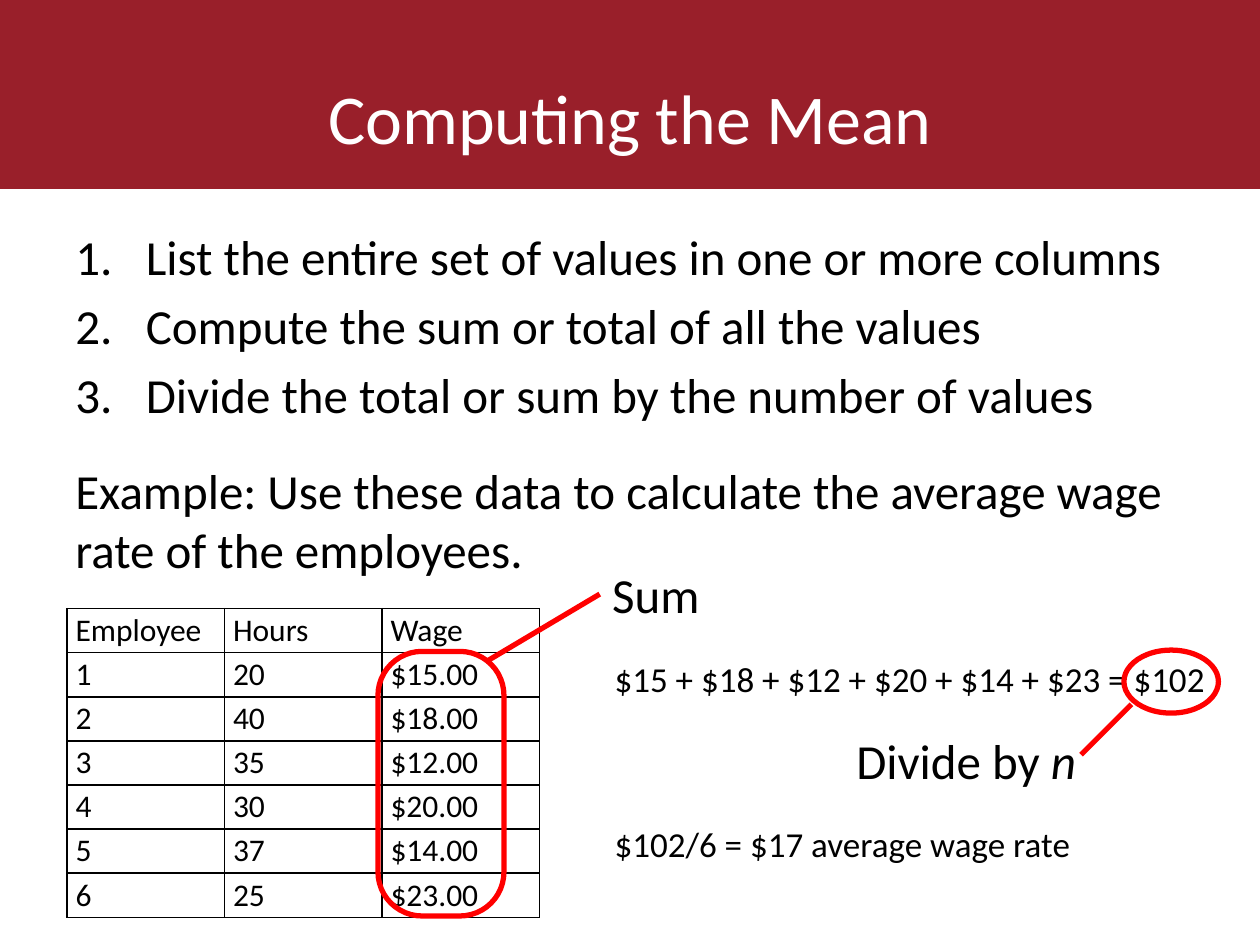
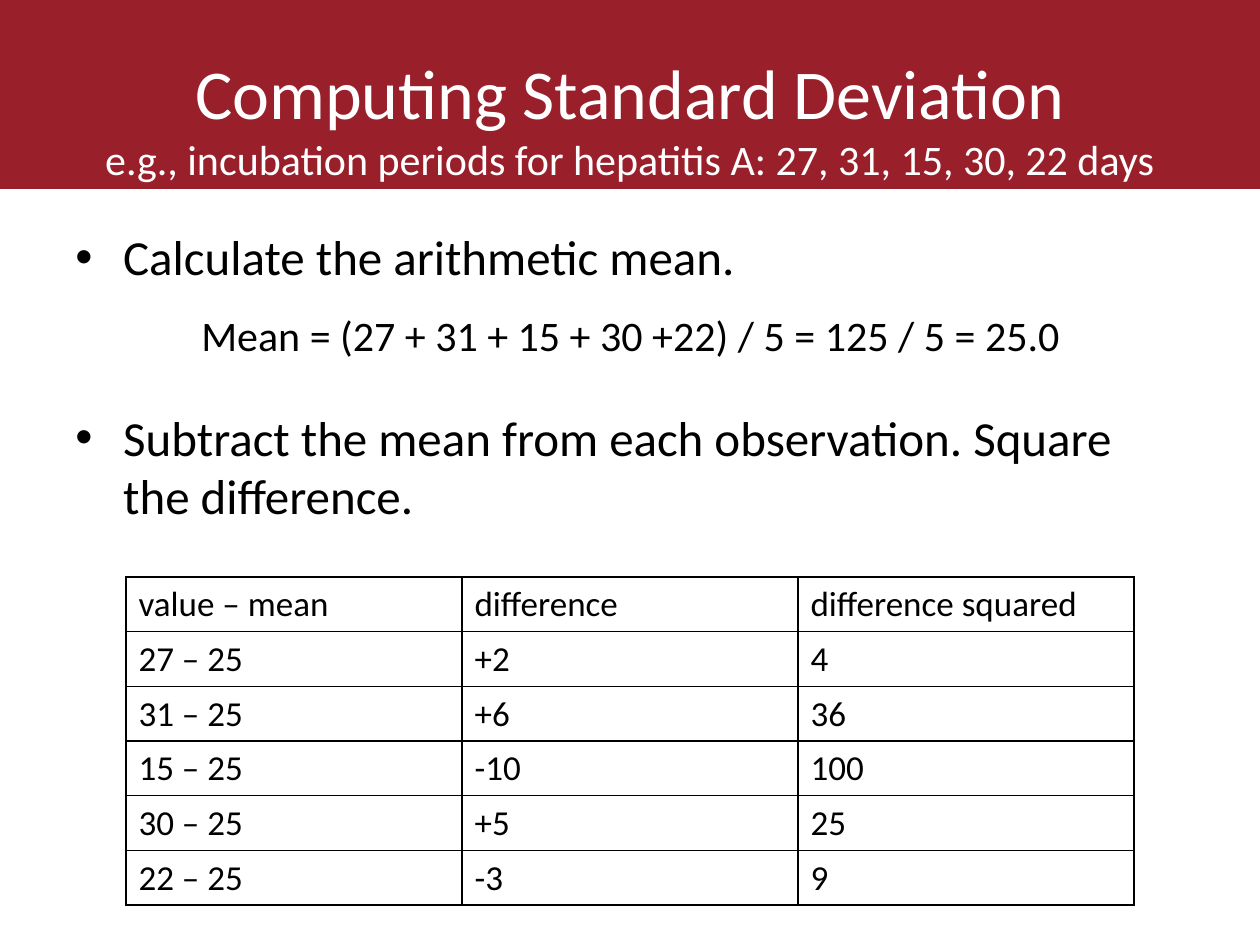
from lxml.etree import SubElement
from pptx import Presentation
from pptx.dml.color import RGBColor
from pptx.enum.shapes import MSO_CONNECTOR, MSO_SHAPE
from pptx.enum.text import MSO_ANCHOR, PP_ALIGN
from pptx.oxml.ns import qn
from pptx.util import Inches, Pt

COLORS = {
    "band": "991F2A",
    "title": "FFFFFF",
    "text": "000000",
    "callout": "FF0000",
}
FONT = "Calibri"


def add_text(frame, paragraphs, color="text", anchor=MSO_ANCHOR.TOP):
    """Fill a frame; each paragraph is (runs, options), each run (text, size, italic)."""
    frame.vertical_anchor = anchor
    for index, (runs, options) in enumerate(paragraphs):
        paragraph = frame.paragraphs[0] if index == 0 else frame.add_paragraph()
        paragraph.alignment = options.get("align", PP_ALIGN.LEFT)
        paragraph.space_before = Pt(options.get("before", 0))
        properties = paragraph._p.get_or_add_pPr()
        indent = Inches(options.get("indent", 0))
        properties.set("marL", str(indent))
        if "bullet" in options:
            properties.set("indent", str(-indent))
            SubElement(properties, qn("a:buFont"), typeface="Arial")
            tag, attribute, value = options["bullet"]
            SubElement(properties, qn(tag), {attribute: value})
        for position, (text, size, italic) in enumerate(runs):
            if position and options.get("break_runs"):
                paragraph.add_line_break()
            run = paragraph.add_run()
            run.text = text
            run.font.name = FONT
            run.font.size = Pt(size)
            run.font.italic = italic
            run.font.color.rgb = RGBColor.from_string(COLORS[color])


def add_grid(slide, left, top, column_width, row_height, rows, size, margins, anchor):
    """Add an unfilled table with thin lines around every cell."""
    columns = len(rows[0])
    table = slide.shapes.add_table(
        len(rows), columns, Inches(left), Inches(top),
        Inches(column_width * columns), Inches(row_height * len(rows))).table
    table.first_row = table.horz_banding = False
    for column in table.columns:
        column.width = Inches(column_width)
    for row, values in zip(table.rows, rows):
        row.height = Inches(row_height)
        for cell, value in zip(row.cells, values):
            cell.margin_left = cell.margin_right = Inches(margins[0])
            cell.margin_top = cell.margin_bottom = Inches(margins[1])
            add_text(cell.text_frame, [([(value, size, False)], {})])
            cell.vertical_anchor = anchor
            properties = cell._tc.get_or_add_tcPr()
            for side in ("a:lnL", "a:lnR", "a:lnT", "a:lnB"):
                border = SubElement(properties, qn(side), w=str(Pt(1)))
                fill = SubElement(border, qn("a:solidFill"))
                SubElement(fill, qn("a:srgbClr"), val=COLORS["text"])
            cell.fill.background()


presentation = Presentation()
presentation.slide_width = Inches(10)
presentation.slide_height = Inches(7.5)

NUMBERED = {"indent": 0.56, "before": 5.6, "bullet": ("a:buAutoNum", "type", "arabicPeriod")}
BULLETED = {"indent": 0.38, "before": 5.6, "bullet": ("a:buChar", "char", "•")}

lessons = [
    (
        [("Computing the Mean", 40, False)],
        [
            ([("List the entire set of values in one or more columns", 28, False)], NUMBERED),
            ([("Compute the sum or total of all the values", 28, False)], NUMBERED),
            ([("Divide the total or sum by the number of values", 28, False)], NUMBERED),
            ([("Example: Use these data to calculate the average wage rate of the employees.",
               28, False)], {"before": 21.5}),
        ],
        5.75,
    ),
    (
        [("Computing Standard Deviation", 40, False),
         ("e.g., incubation periods for hepatitis A: 27, 31, 15, 30, 22 days", 24, False)],
        [
            ([("Calculate the arithmetic mean.", 28, False)], BULLETED),
            ([("Mean = (27 + 31 + 15 + 30 +22) / 5 = 125 / 5 = 25.0", 24, False)],
             {"indent": 1, "before": 13.6}),
            ([("Subtract the mean from each observation. Square the difference.", 28, False)],
             {**BULLETED, "before": 27}),
        ],
        4.95,
    ),
]

# Title band and body text of both slides
slides = []
for title_runs, steps, body_height in lessons:
    slide = presentation.slides.add_slide(presentation.slide_layouts[6])
    slides.append(slide)
    band = slide.shapes.add_shape(MSO_SHAPE.RECTANGLE, 0, 0, Inches(10), Inches(1.5))
    band.shadow.inherit = False
    band.fill.solid()
    band.fill.fore_color.rgb = RGBColor.from_string(COLORS["band"])
    band.line.fill.background()
    title = slide.shapes.add_textbox(Inches(0.5), Inches(0.3), Inches(9), Inches(1.25))
    title.text_frame.word_wrap = True
    add_text(title.text_frame,
             [(title_runs, {"align": PP_ALIGN.CENTER, "break_runs": True})],
             "title", MSO_ANCHOR.MIDDLE)
    body = slide.shapes.add_textbox(Inches(0.5), Inches(1.75), Inches(9), Inches(body_height))
    body.text_frame.word_wrap = True
    add_text(body.text_frame, steps)

mean_slide, deviation_slide = slides

# Mean: wage table and worked calculation
wages = [
    ("Employee", "Hours", "Wage"),
    ("1", "20", "$15.00"),
    ("2", "40", "$18.00"),
    ("3", "35", "$12.00"),
    ("4", "30", "$20.00"),
    ("5", "37", "$14.00"),
    ("6", "25", "$23.00"),
]
add_grid(mean_slide, 0.53, 4.83, 1.25, 0.35, wages, 18, (0.07, 0), MSO_ANCHOR.MIDDLE)

calculation = mean_slide.shapes.add_textbox(
    Inches(4.78), Inches(5.17), Inches(4.97), Inches(1.78))
calculation.text_frame.word_wrap = True
add_text(calculation.text_frame, [
    ([("$15 + $18 + $12 + $20 + $14 + $23 = $102", 20, False)], {}),
    ([("$102/6 = $17 average wage rate", 20, False)], {"before": 70}),
])

# Mean: red outlines, each with a leader line and a label
callouts = [
    (MSO_SHAPE.ROUNDED_RECTANGLE, (3, 5.17, 1, 2.1), (3.86, 5.25, 4.78, 4.75),
     (4.76, 4.43, 0.9, 0.57), [("Sum", 28, False)]),
    (MSO_SHAPE.OVAL, (8.92, 5.16, 0.75, 0.5), (8.98, 5.59, 8.58, 5.99),
     (6.61, 5.75, 2.05, 0.57), [(" Divide by ", 28, False), ("n", 28, True)]),
]
for outline_kind, outline_box, leader_ends, label_box, label_runs in callouts:
    outline = mean_slide.shapes.add_shape(outline_kind, *map(Inches, outline_box))
    outline.shadow.inherit = False
    outline.fill.background()
    leader = mean_slide.shapes.add_connector(
        MSO_CONNECTOR.STRAIGHT, *map(Inches, leader_ends))
    for stroke in (outline.line, leader.line):
        stroke.color.rgb = RGBColor.from_string(COLORS["callout"])
        stroke.width = Pt(3)
    SubElement(leader._element.spPr, qn("a:effectLst"))
    label = mean_slide.shapes.add_textbox(*map(Inches, label_box))
    label.text_frame.word_wrap = False
    add_text(label.text_frame, [(label_runs, {})])
    if outline_kind == MSO_SHAPE.ROUNDED_RECTANGLE:
        outline.adjustments[0] = 0.35
        leader.end_connect(label, 1)

# Standard deviation: squared differences
differences = [
    ("value – mean", "difference", "difference squared"),
    ("27 – 25", "+2", "4"),
    ("31 – 25", "+6", "36"),
    ("15 – 25", "-10", "100"),
    ("30 – 25", "+5", "25"),
    ("22 – 25", "-3", "9"),
]
add_grid(deviation_slide, 1, 4.58, 8 / 3, 2.6 / 6, differences, 20, (0.1, 0.05), MSO_ANCHOR.TOP)

presentation.save("out.pptx")
